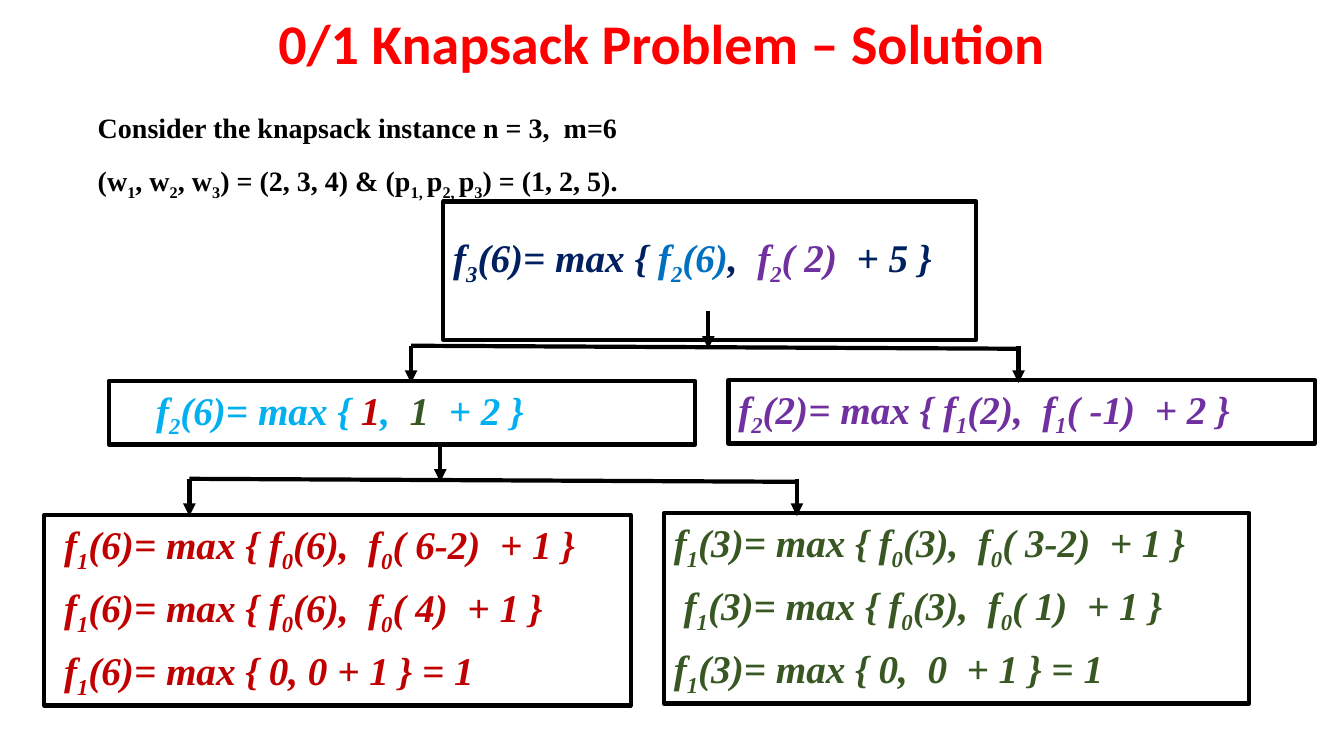
from lxml.etree import SubElement
from pptx import Presentation
from pptx.dml.color import RGBColor
from pptx.enum.shapes import MSO_CONNECTOR, MSO_SHAPE
from pptx.enum.text import MSO_ANCHOR, MSO_AUTO_SIZE, PP_ALIGN
from pptx.oxml.ns import qn
from pptx.util import Pt

RED = RGBColor(0xFF, 0x00, 0x00)
BLACK = RGBColor(0x00, 0x00, 0x00)
NAVY = RGBColor(0x00, 0x20, 0x60)
BLUE = RGBColor(0x00, 0x70, 0xC0)
SKY = RGBColor(0x00, 0xB0, 0xF0)
PURPLE = RGBColor(0x70, 0x30, 0xA0)
CRIMSON = RGBColor(0xC0, 0x00, 0x00)
GREEN = RGBColor(0x38, 0x57, 0x23)

PX = 9144
SERIF = "Times New Roman"
LINE_WIDTH = Pt(3)

TITLE = [[("0/1 Knapsack Problem – Solution", RED)]]
INSTANCE = [
    [("Consider the knapsack instance n = 3,  m=6", BLACK)],
    [("(w|1|, w|2|, w|3|) = (2, 3, 4) & (p|1, |p|2, |p|3|) = (1, 2, 5).", BLACK)],
]
BOXES = [
    ((723, 377, 582, 63), 0, 1.0, [
        [("f|2|(2)= max { f|1|(2),  f|1|( -1)  + 2 }", PURPLE)],
    ]),
    ((440, 200, 529, 137), 0, 1.5, [
        [("f|3|(6)= max { ", NAVY), ("f|2|(6)", BLUE), (",  ", NAVY),
         ("f|2|( 2)  ", PURPLE), ("+ 5 }", NAVY)],
    ]),
    ((108, 378, 582, 63), 37, 1.0, [
        [("f|2|(6)= max { ", SKY), ("1", CRIMSON), (",  ", SKY),
         ("1  ", GREEN), ("+ 2 }", SKY)],
    ]),
    ((659, 509, 581, 189), 0, 1.0, [
        [("f|1|(3)= max { f|0|(3),  f|0|( 3-2)  + 1 }", GREEN)],
        [(" f|1|(3)= max { f|0|(3),  f|0|( 1)  + 1 }", GREEN)],
        [("f|1|(3)= max { 0,  0  + 1 } = 1", GREEN)],
    ]),
    ((44, 511, 582, 189), 0, 1.0, [
        [(" f|1|(6)= max { f|0|(6),  f|0|( 6-2)  + 1 }", CRIMSON)],
        [(" f|1|(6)= max { f|0|(6),  f|0|( 4)  + 1 }", CRIMSON)],
        [(" f|1|(6)= max { 0, 0 + 1 } = 1", CRIMSON)],
    ]),
]
BRANCHES = [
    {"left": 408, "right": 1011, "stem": 703, "top": 343},
    {"left": 188, "right": 791, "stem": 437, "top": 475},
]
STEM_RISE, BAR_DROP, ARROW_DROP = 34, 3, 37


def assign(target, values):
    for name, value in values.items():
        setattr(target, name, value)


def place(shape, frame):
    names = ("left", "top", "width", "height")
    assign(shape, {name: length * PX for name, length in zip(names, frame)})


def write(shape, lines, font, indent=0, gap=0, anchor=MSO_ANCHOR.TOP, **layout):
    box = shape.text_frame
    assign(box, {
        "word_wrap": True, "auto_size": MSO_AUTO_SIZE.NONE, "vertical_anchor": anchor,
        "margin_left": 10 * PX, "margin_right": 10 * PX,
        "margin_top": 5 * PX, "margin_bottom": 5 * PX,
    })
    for index, line in enumerate(lines):
        para = box.add_paragraph() if index else box.paragraphs[0]
        properties = para._p.get_or_add_pPr()
        properties.set("marL", str(indent * PX))
        properties.set("indent", "0")
        SubElement(properties, qn("a:buNone"))
        assign(para, {"space_before": Pt(gap if index else 0), **layout})
        for text, colour in line:
            for part, piece in enumerate(text.split("|")):
                if not piece:
                    continue
                span = para.add_run()
                span.text = piece
                assign(span.font, font)
                span.font.color.rgb = colour
                if part % 2:
                    span.font._element.set("baseline", "-25000")


def connect(page, start, end, arrow=True):
    points = [length * PX for length in (*start, *end)]
    connector = page.shapes.add_connector(MSO_CONNECTOR.STRAIGHT, *points)
    assign(connector.line, {"width": LINE_WIDTH})
    connector.line.color.rgb = BLACK
    if arrow:
        SubElement(connector.line._get_or_add_ln(), qn("a:tailEnd"), type="triangle")
    SubElement(connector._element.spPr, qn("a:effectLst"))


def main():
    deck = Presentation()
    assign(deck, {"slide_width": 1334 * PX, "slide_height": 750 * PX})
    page = deck.slides.add_slide(deck.slide_layouts[1])

    title, body = page.placeholders
    place(title, (61, 0, 1191, 92))
    write(title, TITLE, {"name": "Calibri", "size": Pt(40), "bold": True},
          anchor=MSO_ANCHOR.MIDDLE, alignment=PP_ALIGN.CENTER, line_spacing=0.9)
    place(body, (49, 88, 1258, 117))
    write(body, INSTANCE, {"name": SERIF, "size": Pt(20), "bold": True},
          indent=38, line_spacing=1.5)

    formula_font = {"name": SERIF, "size": Pt(28), "bold": True, "italic": True}
    for frame, indent, spacing, lines in BOXES:
        shape = page.shapes.add_shape(
            MSO_SHAPE.RECTANGLE, *(length * PX for length in frame))
        shape.shadow.inherit = False
        shape.fill.background()
        shape.line.color.rgb = BLACK
        shape.line.width = LINE_WIDTH
        write(shape, lines, formula_font, indent, gap=7,
              alignment=PP_ALIGN.LEFT, line_spacing=spacing)

    for branch in BRANCHES:
        left, right, stem, top = branch.values()
        connect(page, (left, top), (right, top + BAR_DROP), arrow=False)
        for x in (left, right):
            connect(page, (x, top), (x, top + ARROW_DROP))
        connect(page, (stem, top - STEM_RISE), (stem, top + BAR_DROP))

    deck.save("out.pptx")


if __name__ == "__main__":
    main()
